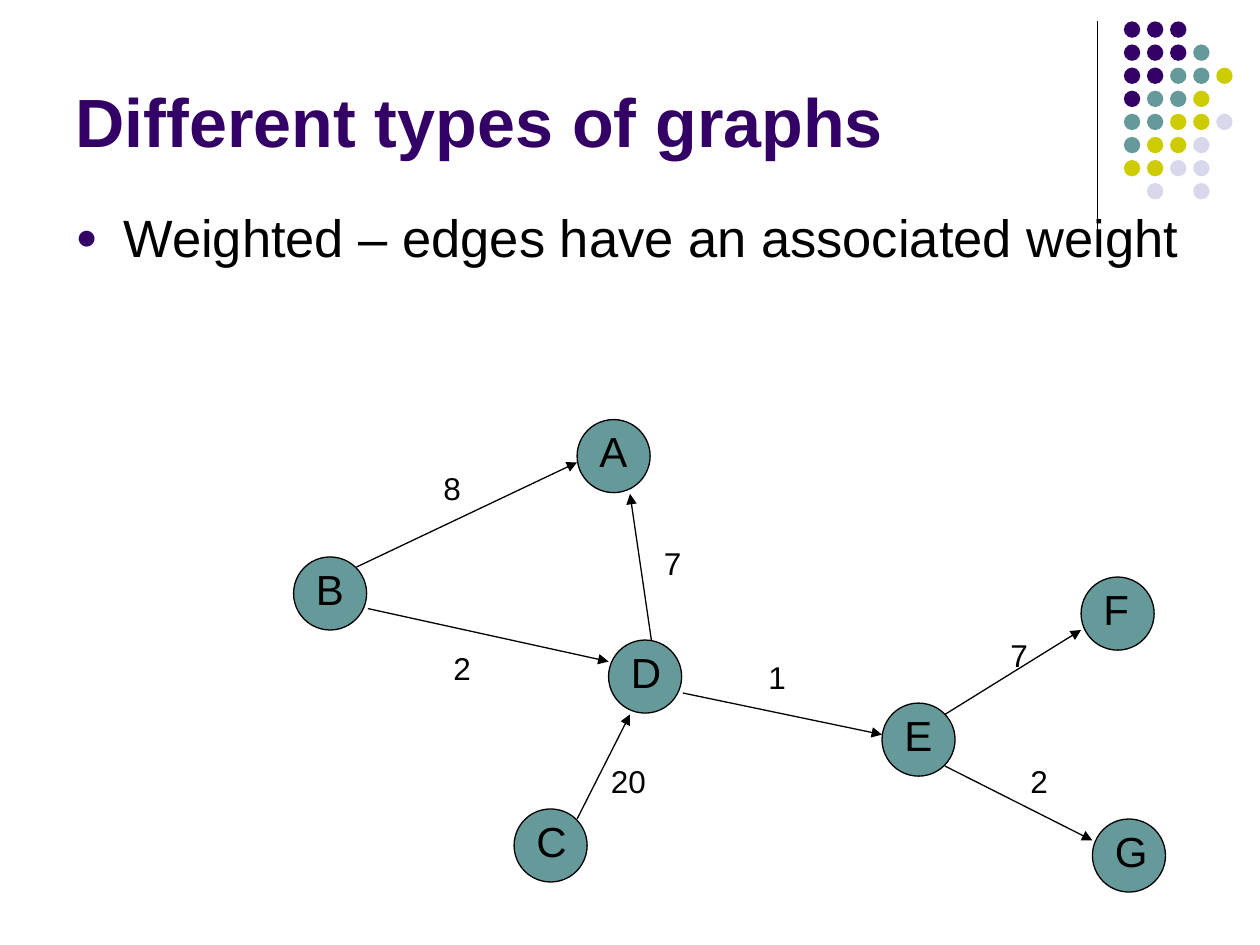
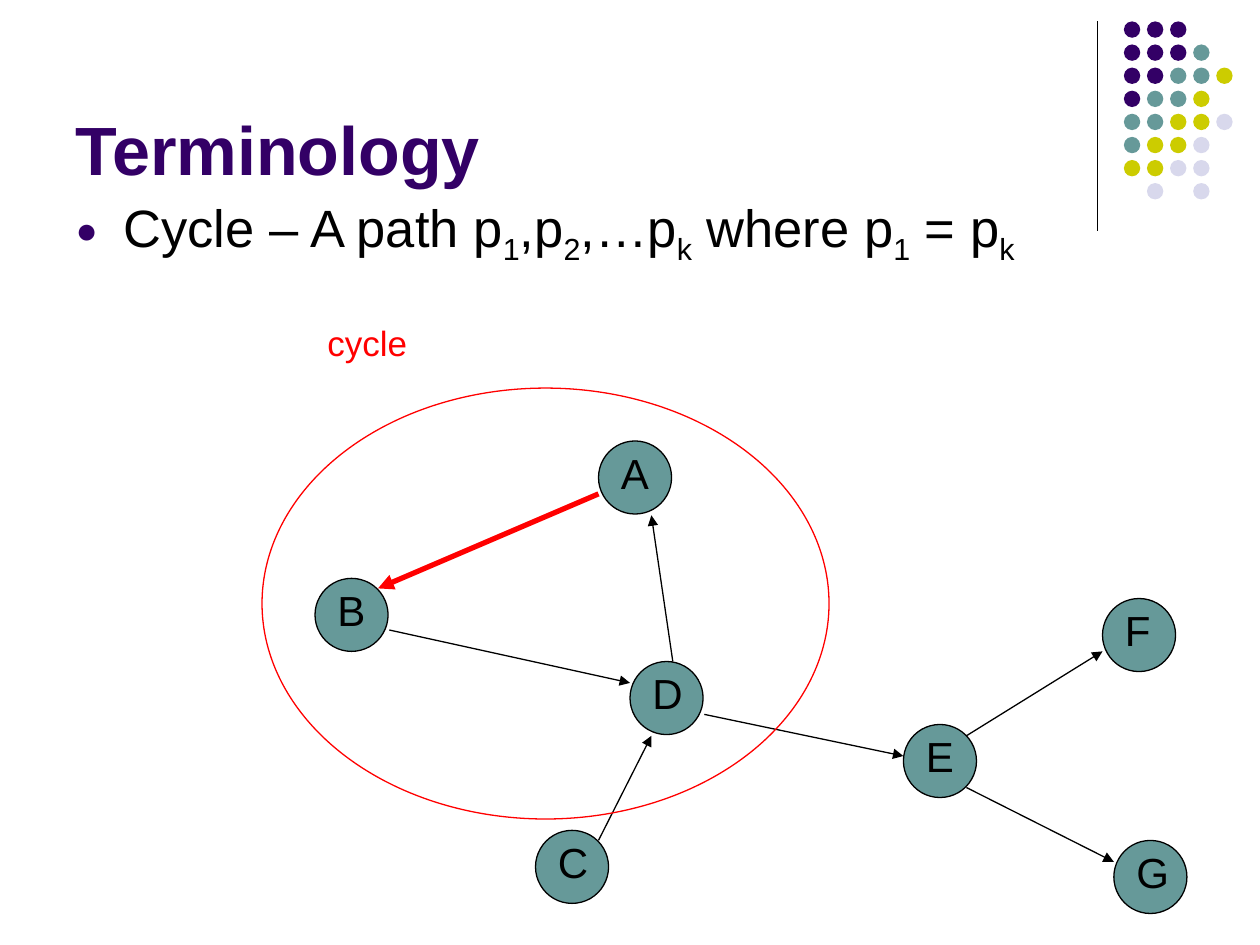
from lxml.etree import SubElement
from pptx import Presentation
from pptx.dml.color import RGBColor
from pptx.enum.shapes import MSO_CONNECTOR as CONN, MSO_SHAPE as SHAPE
from pptx.enum.text import MSO_ANCHOR as ANCHOR, MSO_AUTO_SIZE as FIT, PP_ALIGN as ALIGN
from pptx.oxml.ns import qn
from pptx.util import Inches, Pt

FONT = "Arial"
COLORS = {"purple": "330066", "teal": "669999", "lime": "CCCC00",
          "lilac": "D8D8EC", "black": "000000", "red": "FF0000"}

# Dot pattern in the top right corner
DOTS = ["PPP", "PPPT", "PPTTY", "PTTY", "TTYYL", "TYYL", "YYLL", " L L"]
DOT_COLORS = {"P": "purple", "T": "teal", "Y": "lime", "L": "lilac"}
DOT_LEFT, DOT_TOP, DOT_SIZE, DOT_STEP = 8.92, 0.17, 0.13, 0.55 / 3

# The graph that both slides show: node corners and edge ends
NODE_SIZE = 0.58
NODES = {"A": (4.58, 3.33), "B": (2.33, 4.42), "C": (4.08, 6.42), "E": (7, 5.58),
         "D": (4.83, 5.08), "F": (8.58, 4.58), "G": (8.67, 6.5)}
EDGES = [
    ((2.92, 4.83), (4.83, 5.25)),  # B to D
    ((5.17, 5.08), (5, 3.92)),     # D to A
    ((4.58, 6.5), (5, 5.67)),      # C to D
    ((5.42, 5.5), (7, 5.83)),      # D to E
    ((7.5, 5.67), (8.58, 5)),      # E to F
    ((7.5, 6.08), (8.67, 6.67)),   # E to G
]

# What differs between the slides; every second part of a bullet is a subscript
WEIGHTED = {
    "title": "Different types of graphs", "title_box": (0.5, 0.13, 8.25, 1.2),
    "bullet": ["Weighted – edges have an associated weight"],
    "bullet_box": (0.5, 1.58, 9, 0.83), "shift": 0,
}
CYCLE = {
    "title": "Terminology", "title_box": (0.5, 0.13, 8.25, 1.42),
    "bullet": ["Cycle – A path p", "1", ",p", "2", ",…p", "k",
               " where p", "1", " = p", "k"],
    "bullet_box": (0.5, 1.5, 9, 1.17), "shift": 0.17,
}
EDGE_B_TO_A = ((2.83, 4.5), (4.58, 3.67))
WEIGHTS = [("8", 3.42, 3.67), ("2", 3.5, 5.1), ("7", 5.17, 4.27), ("20", 4.75, 6),
           ("1", 6, 5.17), ("7", 7.92, 5), ("2", 8.08, 6)]


def rgb(name):
    return RGBColor.from_string(COLORS[name])


def inches(values):
    return [Inches(v) for v in values]


def set_font(p, size, color, bold=False):
    p.font.name, p.font.size, p.font.bold = FONT, Pt(size), bold
    p.font.color.rgb = rgb(color)


def add_ellipse(shapes, box, fill=None, line=None):
    sp = shapes.add_shape(SHAPE.OVAL, *inches(box))
    sp.shadow.inherit = False
    if fill:
        sp.fill.solid()
        sp.fill.fore_color.rgb = rgb(fill)
    else:
        sp.fill.background()
    if line:
        sp.line.color.rgb, sp.line.width = rgb(line), Pt(0.75)
    else:
        sp.line.fill.background()
    return sp


def add_line(shapes, start, end, color="black", width=0.75, arrow=True):
    c = shapes.add_connector(CONN.STRAIGHT, *inches((*start, *end)))
    c.line.color.rgb, c.line.width = rgb(color), Pt(width)
    sp_pr = c.element.spPr
    if arrow:
        SubElement(sp_pr.find(qn("a:ln")), qn("a:tailEnd"), type="triangle")
    SubElement(sp_pr, qn("a:effectLst"))
    return c


def add_label(shapes, text, box, size, color="black"):
    tf = shapes.add_textbox(*inches(box)).text_frame
    tf.word_wrap, tf.auto_size = True, FIT.SHAPE_TO_FIT_TEXT
    p = tf.paragraphs[0]
    p.text = text
    set_font(p, size, color)


def decorate_layout(layout, slide):
    """Draw the rule and the dots on the slide, then move them to its layout."""
    rule = add_line(slide.shapes, (8.71, 0.17), (8.71, 1.83), arrow=False)
    dots = slide.shapes.add_group_shape()
    for row, pattern in enumerate(DOTS):
        for col, key in enumerate(pattern):
            if key in DOT_COLORS:
                box = (DOT_LEFT + col * DOT_STEP, DOT_TOP + row * DOT_STEP,
                       DOT_SIZE, DOT_SIZE)
                add_ellipse(dots.shapes, box, DOT_COLORS[key])
    tree = layout.shapes.element
    for part in (rule, dots):
        tree.append(part.element)
    for number, el in enumerate(tree.iter(qn("p:cNvPr")), 1):
        el.set("id", str(number))


def place(holder, box):
    holder.left, holder.top, holder.width, holder.height = inches(box)
    tf = holder.text_frame
    tf.word_wrap, tf.auto_size = True, FIT.NONE
    return tf


def add_heading(slide, content):
    # Title
    tf = place(slide.shapes.title, content["title_box"])
    tf.vertical_anchor = ANCHOR.BOTTOM
    p = tf.paragraphs[0]
    p.text, p.alignment = content["title"], ALIGN.LEFT
    set_font(p, 39, "purple", bold=True)

    # Bullet
    tf = place(slide.placeholders[1], content["bullet_box"])
    tf.vertical_anchor = ANCHOR.TOP
    p = tf.paragraphs[0]
    p_pr = p._p.get_or_add_pPr()
    p_pr.set("marL", str(Inches(0.38)))
    p_pr.set("indent", str(-Inches(0.38)))
    SubElement(SubElement(p_pr, qn("a:buClr")), qn("a:srgbClr"), val=COLORS["purple"])
    SubElement(p_pr, qn("a:buSzPct"), val="70000")
    SubElement(p_pr, qn("a:buFont"), typeface=FONT)
    SubElement(p_pr, qn("a:buChar"), char="●")
    set_font(p, 30, "black")
    for i, text in enumerate(content["bullet"]):
        r = p.add_run()
        r.text = text
        if i % 2:
            r._r.get_or_add_rPr().set("baseline", "-25000")


def add_graph(slide, shift):
    for name, (x, y) in NODES.items():
        x, y = x + shift, y + shift
        node = slide.shapes.add_group_shape().shapes
        add_ellipse(node, (x, y, NODE_SIZE, NODE_SIZE), "teal", "black")
        add_label(node, name, (x + 0.08, y, 0.5, 0.5), 24)
    for edge in EDGES:
        add_line(slide.shapes, *[(x + shift, y + shift) for x, y in edge])


def main():
    prs = Presentation()
    prs.slide_width, prs.slide_height = Inches(10), Inches(7.5)
    layout = prs.slide_layouts[1]
    weighted, cycle = [prs.slides.add_slide(layout) for _ in range(2)]
    decorate_layout(layout, weighted)
    for slide, content in ((weighted, WEIGHTED), (cycle, CYCLE)):
        add_heading(slide, content)
        add_graph(slide, content["shift"])

    # Weighted graph: extra edge and the weights
    add_line(weighted.shapes, *EDGE_B_TO_A)
    for text, x, y in WEIGHTS:
        add_label(weighted.shapes, text, (x, y, 0.58, 0.4), 18)

    # Cycle: ring, caption and the edge that closes it
    add_ellipse(cycle.shapes, (2.08, 3.08, 4.5, 3.42), line="red")
    add_label(cycle.shapes, "cycle", (2.5, 2.5, 2.5, 0.43), 20, "red")
    add_line(cycle.shapes, (4.75, 3.92), (3, 4.67), "red", 3)

    prs.save("out.pptx")


if __name__ == "__main__":
    main()
